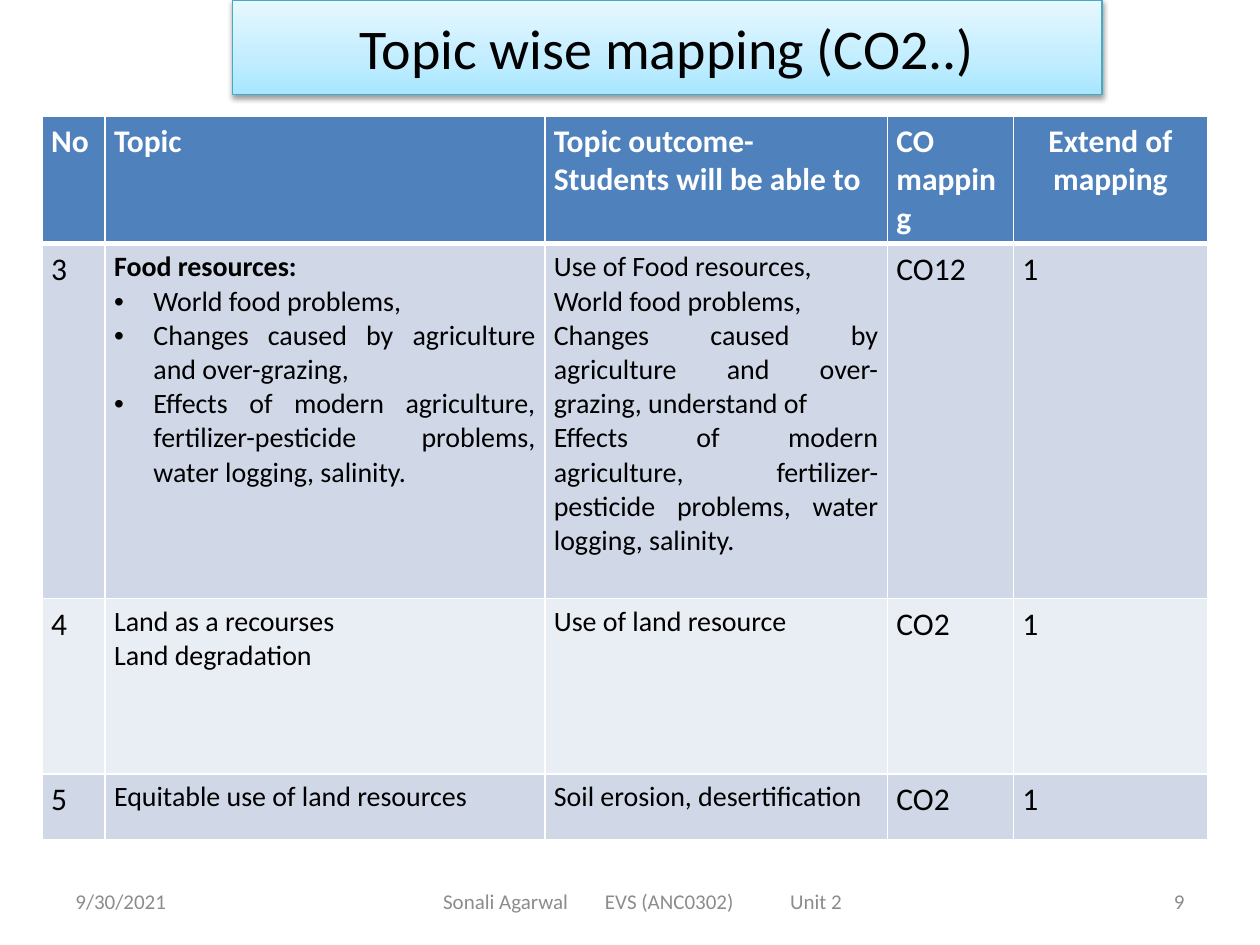
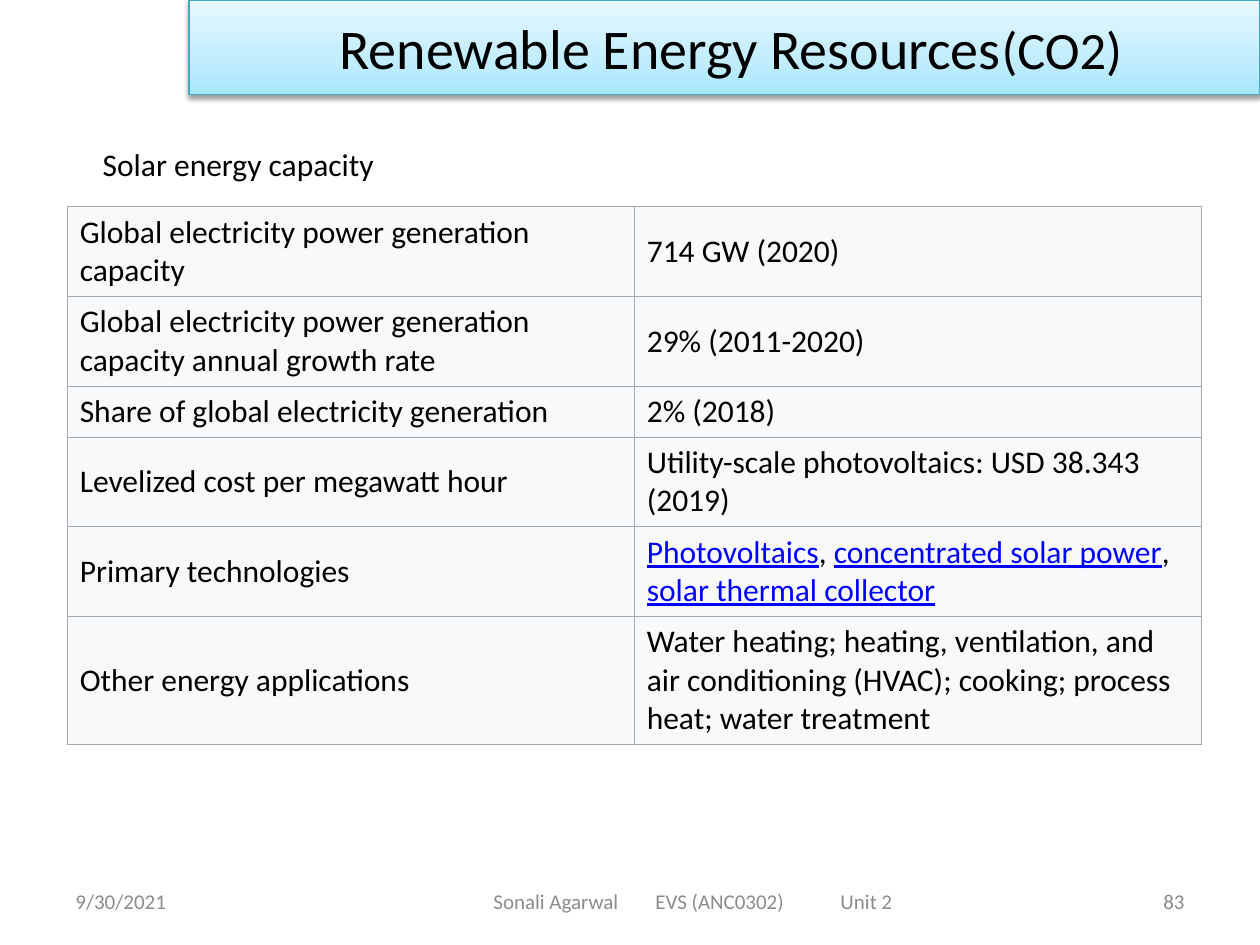
import lxml.etree
import pptx
import pptx.dml.color
import pptx.enum.dml
import pptx.enum.text
import pptx.oxml
import pptx.oxml.ns
import pptx.util

Pt = pptx.util.Pt
RGBColor = pptx.dml.color.RGBColor
ALIGN = pptx.enum.text.PP_ALIGN
ANCHOR = pptx.enum.text.MSO_ANCHOR
qn = pptx.oxml.ns.qn

FONT = "Calibri"
BLACK = RGBColor(0x00, 0x00, 0x00)
WHITE = RGBColor(0xFF, 0xFF, 0xFF)
GREY = RGBColor(0x8C, 0x8C, 0x8C)
LINK = RGBColor(0x00, 0x00, 0xFF)
HEADER = RGBColor(0x4F, 0x81, 0xBD)
BAND_DARK = RGBColor(0xD0, 0xD8, 0xE8)
BAND_LIGHT = RGBColor(0xE9, 0xED, 0xF4)
TITLE_LINE = RGBColor(0x46, 0xAA, 0xC5)
TITLE_STOPS = [(0, RGBColor(0xA7, 0xE6, 0xFF)),
               (35, RGBColor(0xC1, 0xED, 0xFF)),
               (100, RGBColor(0xE7, 0xF8, 0xFF))]
FACT_FILL = RGBColor(0xF8, 0xF9, 0xFA)
FACT_LINE = RGBColor(0xA2, 0xA9, 0xB1)

FOOTER_TOP, FOOTER_H = 500.5, 28.75
FOOTER_TEXT_W = 228
FOOTER_TABS = (92.5, 198.3)

MAPPING_HEADS = [["No"], ["Topic"],
                 ["Topic outcome-", "Students will be able to"],
                 ["CO mapping"], ["Extend of mapping"]]
MAPPING_ROWS = [
    [["3"],
     ["Food resources:", "World food problems,",
      "Changes caused by agriculture and over-grazing,",
      "Effects of modern agriculture, fertilizer-pesticide problems, "
      "water logging, salinity."],
     ["Use of Food resources,", "World food problems,",
      "Changes caused by agriculture and over-grazing, understand of",
      "Effects of modern agriculture, fertilizer-pesticide problems, "
      "water logging, salinity."],
     ["CO12"], ["1"]],
    [["4"], ["Land as a recourses", "Land degradation"],
     ["Use of land resource"], ["CO2"], ["1"]],
    [["5"], ["Equitable use of land resources"],
     ["Soil erosion, desertification"], ["CO2"], ["1"]],
]
SOLAR_FACTS = [
    (2, "Global electricity power generation capacity", ["714 GW (2020)"]),
    (2, "Global electricity power generation capacity annual growth rate",
     ["29% (2011-2020)"]),
    (1, "Share of global electricity generation", ["2% (2018)"]),
    (2, "Levelized cost per megawatt hour",
     ["Utility-scale photovoltaics: USD 38.343 (2019)"]),
    (2, "Primary technologies",
     ["Photovoltaics", ", ", "concentrated solar power", ", ",
      "solar thermal collector"]),
    (3, "Other energy applications",
     ["Water heating; heating, ventilation, and air conditioning (HVAC); "
      "cooking; process heat; water treatment"]),
]


def add_xml(parent, tag, **attrs):
    """Append a drawing element with attributes and return it."""
    el = lxml.etree.SubElement(parent, qn(tag))
    for name, value in attrs.items():
        el.set(name, str(value))
    return el


def add_run(p, text, size, color=BLACK, bold=False, underline=False):
    """Add one formatted run to a paragraph."""
    r = p.add_run()
    r.text = text
    r.font.name = FONT
    r.font.size = Pt(size)
    r.font.color.rgb = color
    r.font.bold = bold
    r.font.underline = underline


def next_paragraph(tf, index, align=ALIGN.LEFT):
    """Return the paragraph at index, adding it after the first."""
    p = tf.add_paragraph() if index else tf.paragraphs[0]
    p.alignment = align
    return p


def add_bullet(p, indent):
    """Give a paragraph a hanging round bullet."""
    pPr = p._p.get_or_add_pPr()
    pPr.set("marL", str(Pt(indent)))
    pPr.set("indent", str(-Pt(indent)))
    add_xml(pPr, "a:buFont", typeface="Arial")
    add_xml(pPr, "a:buChar", char="•")


def add_text(slide, box, text, size, color=BLACK, align=ALIGN.LEFT,
             anchor=ANCHOR.TOP):
    """Add a wrapped text box with one line and return it."""
    sp = slide.shapes.add_textbox(*map(Pt, box))
    tf = sp.text_frame
    tf.word_wrap = True
    tf.vertical_anchor = anchor
    add_run(next_paragraph(tf, 0, align), text, size, color)
    return sp


def add_title(slide, left, width, parts, inset=7.2):
    """Style the title placeholder as a gradient band at the top."""
    sp = slide.shapes.title
    sp.left, sp.top, sp.width, sp.height = map(Pt, (left, 0, width, 54))
    spPr = sp._element.spPr
    grad = add_xml(spPr, "a:gradFill", rotWithShape=1)
    stops = add_xml(grad, "a:gsLst")
    for pos, color in TITLE_STOPS:
        add_xml(add_xml(stops, "a:gs", pos=pos * 1000), "a:srgbClr", val=color)
    add_xml(grad, "a:lin", ang=270 * 60000, scaled=0)
    sp.line.color.rgb = TITLE_LINE
    sp.line.width = Pt(0.75)
    shadow = add_xml(add_xml(spPr, "a:effectLst"), "a:outerShdw",
                     blurRad=Pt(3.1), dist=Pt(1.6), dir=90 * 60000,
                     rotWithShape=0)
    add_xml(add_xml(shadow, "a:srgbClr", val=BLACK), "a:alpha", val=38000)
    tf = sp.text_frame
    tf.auto_size = pptx.enum.text.MSO_AUTO_SIZE.NONE
    tf.vertical_anchor = ANCHOR.MIDDLE
    tf.margin_left = Pt(inset)
    p = next_paragraph(tf, 0, ALIGN.CENTER)
    for text, size in parts:
        add_run(p, text, size)


def add_footer(slide, left, width, number):
    """Add the date, the tabbed course line and the slide number."""
    for x, text, align in ((36, "9/30/2021", ALIGN.LEFT),
                           (516, number, ALIGN.RIGHT)):
        add_text(slide, (x, FOOTER_TOP, 168, FOOTER_H), text, 12, GREY, align,
                 ANCHOR.MIDDLE)
    sp = add_text(slide, (left, FOOTER_TOP, width, FOOTER_H),
                  "Sonali Agarwal\tEVS (ANC0302)\tUnit 2", 12, GREY,
                  anchor=ANCHOR.MIDDLE)
    tf = sp.text_frame
    tf.margin_left = Pt((width - FOOTER_TEXT_W) / 2)
    tabs = add_xml(tf.paragraphs[0]._p.get_or_add_pPr(), "a:tabLst")
    for pos in FOOTER_TABS:
        add_xml(tabs, "a:tab", pos=Pt(pos), algn="l")


def add_grid(slide, left, top, widths, heights):
    """Add an unbanded table with the given columns and rows."""
    frame = slide.shapes.add_table(len(heights), len(widths), Pt(left), Pt(top),
                                   Pt(sum(widths)), Pt(sum(heights)))
    table = frame.table
    table.first_row = table.horz_banding = False
    for column, width in zip(table.columns, widths):
        column.width = Pt(width)
    for row, height in zip(table.rows, heights):
        row.height = Pt(height)
    return table


def style_cell(cell, fill, line, widths):
    """Set a cell's fill and its left, right, top and bottom borders."""
    tcPr = cell._tc.get_or_add_tcPr()
    for side, width in zip("LRTB", widths):
        ln = add_xml(tcPr, "a:ln" + side, w=Pt(width))
        add_xml(add_xml(ln, "a:solidFill"), "a:srgbClr", val=line)
    cell.fill.solid()
    cell.fill.fore_color.rgb = fill


def add_mapping_table(slide, left, top):
    """Add the topic, outcome and mapping table."""
    table = add_grid(slide, left, top, (36, 251.3, 195.8, 72, 110.9),
                     (72.6, 202.8, 100.1, 37.4))
    for i, row in enumerate([MAPPING_HEADS] + MAPPING_ROWS):
        head = i == 0
        fill = HEADER if head else BAND_DARK if i % 2 else BAND_LIGHT
        for j, lines in enumerate(row):
            cell = table.cell(i, j)
            style_cell(cell, fill, WHITE,
                       (1, 1, 3 if i == 1 else 1, 3 if head else 1))
            cell.margin_left = cell.margin_right = Pt(5.2)
            topic = not head and j in (1, 2)
            align = ALIGN.JUSTIFY if topic and i == 1 else ALIGN.LEFT
            if head and j == 4:
                align = ALIGN.CENTER
            for k, text in enumerate(lines):
                p = next_paragraph(cell.text_frame, k, align)
                food = i == 1 and j == 1
                if food and k:
                    add_bullet(p, 22.5)
                add_run(p, text, 16 if topic else 18,
                        WHITE if head else BLACK, head or (food and k == 0))


def add_facts_table(slide, left, top):
    """Add the solar energy facts, with rows as high as their lines."""
    heights = [22 * lines + 7.2 for lines, _, _ in SOLAR_FACTS]
    table = add_grid(slide, left, top, (324, 324), heights)
    for i, (_, label, values) in enumerate(SOLAR_FACTS):
        for j, parts in enumerate(([label], values)):
            cell = table.cell(i, j)
            style_cell(cell, FACT_FILL, FACT_LINE, [0.6] * 4)
            cell.vertical_anchor = ANCHOR.MIDDLE
            p = next_paragraph(cell.text_frame, 0)
            for k, text in enumerate(parts):
                linked = len(parts) > 1 and k % 2 == 0
                add_run(p, text, 18, LINK if linked else BLACK,
                        underline=linked)


def build_mapping_slide(prs):
    """Build the topic wise mapping slide."""
    slide = prs.slides.add_slide(prs.slide_layouts[5])
    add_title(slide, 132.75, 497, [("Topic wise mapping (CO2..)", 32)])
    add_mapping_table(slide, 24, 66.2)
    add_footer(slide, 171.4, 391.7, "9")


def build_solar_slide(prs):
    """Build the renewable energy slide."""
    slide = prs.slides.add_slide(prs.slide_layouts[5])
    add_title(slide, 108, 612,
              [("Renewable Energy Resources", 32), ("(CO2)", 30)], 14.4)
    add_text(slide, (51.6, 79.4, 362, 29), "Solar energy capacity", 18)
    add_facts_table(slide, 38.4, 118.2)
    add_footer(slide, 198, 396, "83")


def main():
    """Build and save the presentation."""
    prs = pptx.Presentation()
    prs.slide_width, prs.slide_height = Pt(720), Pt(540)
    build_mapping_slide(prs)
    build_solar_slide(prs)
    prs.save("out.pptx")


if __name__ == "__main__":
    main()
